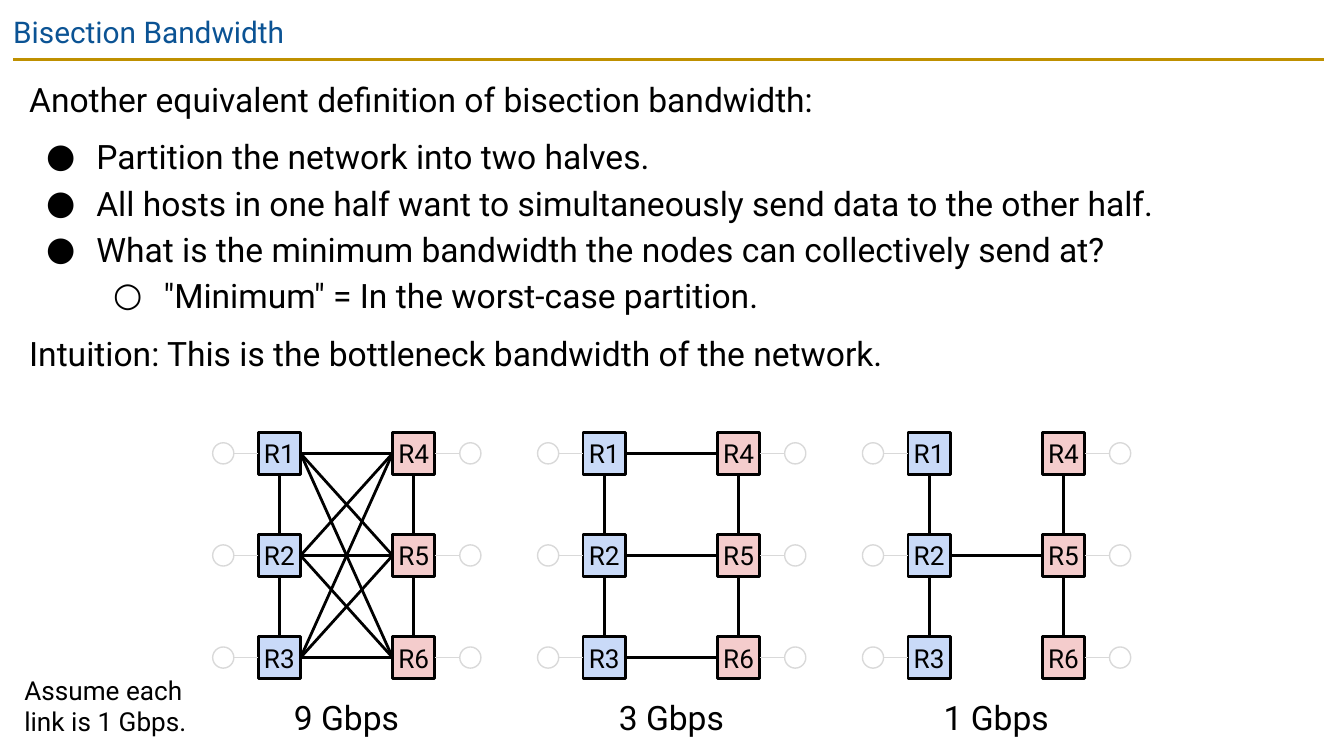
from dataclasses import dataclass
from itertools import product

from lxml.etree import SubElement
from pptx import Presentation
from pptx.dml.color import RGBColor
from pptx.enum.shapes import MSO_CONNECTOR, MSO_SHAPE
from pptx.enum.text import MSO_ANCHOR, MSO_AUTO_SIZE, PP_ALIGN
from pptx.oxml.ns import qn
from pptx.shapes.autoshape import Shape
from pptx.shapes.connector import Connector
from pptx.slide import Slide
from pptx.text.text import TextFrame
from pptx.util import Cm, Pt

COLORS = {
    "title": "0B5394",
    "rule": "BF9000",
    "text": "000000",
    "left": "C9DAF8",
    "right": "F4CCCC",
    "host": "FFFFFF",
    "host_line": "D9D9D9",
}
FONT = "Roboto"
TOP, LEFT, BOTTOM, RIGHT = range(4)

ROUTER_SIZE = 0.8
HOST_SIZE = 0.4
HOST_GAP = 0.46
ROW_TOP = 8.17
ROW_PITCH = 1.93
COLUMN_PITCH = 2.54
NETWORK_LEFT = 4.88
NETWORK_PITCH = 6.14
LABEL_WIDTH = 3.25


@dataclass(frozen=True)
class BodyLine:
    text: str
    bullet: str = ""
    level: int = 0
    space_before: float = 0


@dataclass(frozen=True)
class Network:
    bandwidth: str
    cross_links: tuple[tuple[int, int], ...]


BODY_LINES = (
    BodyLine("Another equivalent definition of bisection bandwidth:"),
    BodyLine("Partition the network into two halves.", "●", space_before=6),
    BodyLine("All hosts in one half want to simultaneously send data to the other half.", "●"),
    BodyLine("What is the minimum bandwidth the nodes can collectively send at?", "●"),
    BodyLine('"Minimum" = In the worst-case partition.', "○", level=1),
    BodyLine("Intuition: This is the bottleneck bandwidth of the network.", space_before=6),
)
NETWORKS = (
    Network("9 Gbps", tuple(product(range(3), repeat=2))),
    Network("3 Gbps", ((0, 0), (1, 1), (2, 2))),
    Network("1 Gbps", ((1, 1),)),
)


def rgb(name: str) -> RGBColor:
    return RGBColor.from_string(COLORS[name])


def set_frame(frame: TextFrame, inset: float, anchor: MSO_ANCHOR) -> None:
    frame.word_wrap = True
    frame.auto_size = MSO_AUTO_SIZE.NONE
    frame.vertical_anchor = anchor
    frame.margin_left = frame.margin_right = Cm(inset)
    frame.margin_top = frame.margin_bottom = Cm(inset)


def set_font(paragraph, size: float, color: str = "text") -> None:
    paragraph.font.name = FONT
    paragraph.font.size = Pt(size)
    paragraph.font.color.rgb = rgb(color)


def place(shape: Shape, left: float, top: float, width: float, height: float) -> None:
    shape.left, shape.top = Cm(left), Cm(top)
    shape.width, shape.height = Cm(width), Cm(height)


def set_bullet(paragraph, line: BodyLine) -> None:
    properties = paragraph._p.get_or_add_pPr()
    if not line.bullet:
        properties.set("marL", "0")
        properties.set("indent", "0")
        SubElement(properties, qn("a:buNone"))
        return
    properties.set("marL", str(Cm(1.27 * (line.level + 1))))
    properties.set("indent", str(Cm(-0.95)))
    bullet_color = SubElement(properties, qn("a:buClr"))
    SubElement(bullet_color, qn("a:srgbClr"), val=COLORS["text"])
    SubElement(properties, qn("a:buFont"), typeface=FONT)
    SubElement(properties, qn("a:buChar"), char=line.bullet)


def fill_placeholders(slide: Slide) -> None:
    title, body = slide.placeholders[0], slide.placeholders[1]
    place(title, 0, 0, 25.4, 1.1)
    set_frame(title.text_frame, 0.25, MSO_ANCHOR.TOP)
    title.text_frame.text = "Bisection Bandwidth"
    paragraph = title.text_frame.paragraphs[0]
    paragraph.alignment = PP_ALIGN.LEFT
    set_font(paragraph, 16, "title")

    place(body, 0.3, 1.12, 24.74, 6.5)
    set_frame(body.text_frame, 0.25, MSO_ANCHOR.TOP)
    body.text_frame.text = "\n".join(line.text for line in BODY_LINES)
    for paragraph, line in zip(body.text_frame.paragraphs, BODY_LINES):
        set_bullet(paragraph, line)
        paragraph.level = line.level
        paragraph.line_spacing = 1.15
        paragraph.space_before = Pt(line.space_before)
        set_font(paragraph, 18)


def add_label(slide: Slide, text: str, left: float, top: float, height: float,
              size: float, alignment: PP_ALIGN) -> None:
    label = slide.shapes.add_textbox(Cm(left), Cm(top), Cm(LABEL_WIDTH), Cm(height))
    set_frame(label.text_frame, 0, MSO_ANCHOR.TOP)
    label.text_frame.text = text
    paragraph = label.text_frame.paragraphs[0]
    paragraph.alignment = alignment
    set_font(paragraph, size)


def add_node(slide: Slide, kind: MSO_SHAPE, left: float, top: float, size: float,
             fill: str, line: str, width: float) -> Shape:
    node = slide.shapes.add_shape(kind, Cm(left), Cm(top), Cm(size), Cm(size))
    node.shadow.inherit = False
    node.fill.solid()
    node.fill.fore_color.rgb = rgb(fill)
    node.line.color.rgb = rgb(line)
    node.line.width = Pt(width)
    return node


def add_router(slide: Slide, name: str, left: float, top: float, fill: str) -> Shape:
    router = add_node(slide, MSO_SHAPE.RECTANGLE, left, top, ROUTER_SIZE, fill, "text", 1.5)
    set_frame(router.text_frame, 0, MSO_ANCHOR.MIDDLE)
    router.text_frame.text = name
    paragraph = router.text_frame.paragraphs[0]
    paragraph.alignment = PP_ALIGN.CENTER
    set_font(paragraph, 14)
    return router


def add_line(slide: Slide, start: tuple[float, float], end: tuple[float, float],
             color: str, width: float) -> Connector:
    line = slide.shapes.add_connector(MSO_CONNECTOR.STRAIGHT, *map(Cm, start + end))
    line.line.color.rgb = rgb(color)
    line.line.width = Pt(width)
    SubElement(line._element.spPr, qn("a:effectLst"))
    return line


def link_routers(slide: Slide, first: Shape, first_side: int, second: Shape, second_side: int) -> None:
    link = add_line(slide, (0, 0), (0, 0), "text", 1.5)
    link.begin_connect(first, first_side)
    link.end_connect(second, second_side)


def add_host(slide: Slide, router: Shape, side: int) -> None:
    direction = -1 if side == LEFT else 1
    center_x = router.left.cm + ROUTER_SIZE / 2
    center_y = router.top.cm + ROUTER_SIZE / 2
    edge = center_x + direction * (ROUTER_SIZE / 2 + HOST_GAP)
    if side == RIGHT:
        edge += 0.01
    link = add_line(slide, (edge, center_y), (center_x, center_y), "host_line", 0.75)
    link.end_connect(router, side)
    host_left = edge - HOST_SIZE if side == LEFT else edge
    add_node(slide, MSO_SHAPE.OVAL, host_left, center_y - HOST_SIZE / 2, HOST_SIZE,
             "host", "host_line", 0.75)


def draw_network(slide: Slide, network: Network, left: float) -> None:
    columns = []
    for column, (fill, side) in enumerate((("left", LEFT), ("right", RIGHT))):
        routers = [
            add_router(slide, f"R{column * 3 + row + 1}", left + column * COLUMN_PITCH,
                       ROW_TOP + row * ROW_PITCH, fill)
            for row in range(3)
        ]
        for router in routers:
            add_host(slide, router, side)
        for upper, lower in zip(routers, routers[1:]):
            link_routers(slide, lower, TOP, upper, BOTTOM)
        columns.append(routers)
    for left_row, right_row in network.cross_links:
        link_routers(slide, columns[0][left_row], RIGHT, columns[1][right_row], LEFT)
    center = left + (COLUMN_PITCH + ROUTER_SIZE) / 2
    add_label(slide, network.bandwidth, center - LABEL_WIDTH / 2, 13.18, 0.76, 18, PP_ALIGN.CENTER)


def main() -> None:
    presentation = Presentation()
    presentation.slide_width, presentation.slide_height = Cm(25.4), Cm(14.29)
    slide = presentation.slides.add_slide(presentation.slide_layouts[1])
    add_line(slide, (0.25, 1.12), (25.02, 1.12), "rule", 1.5)
    fill_placeholders(slide)
    for index, network in enumerate(NETWORKS):
        draw_network(slide, network, NETWORK_LEFT + index * NETWORK_PITCH)
    add_label(slide, "Assume each link is 1 Gbps.", 0.46, 12.75, 1.19, 14, PP_ALIGN.LEFT)
    presentation.save("out.pptx")


if __name__ == "__main__":
    main()
